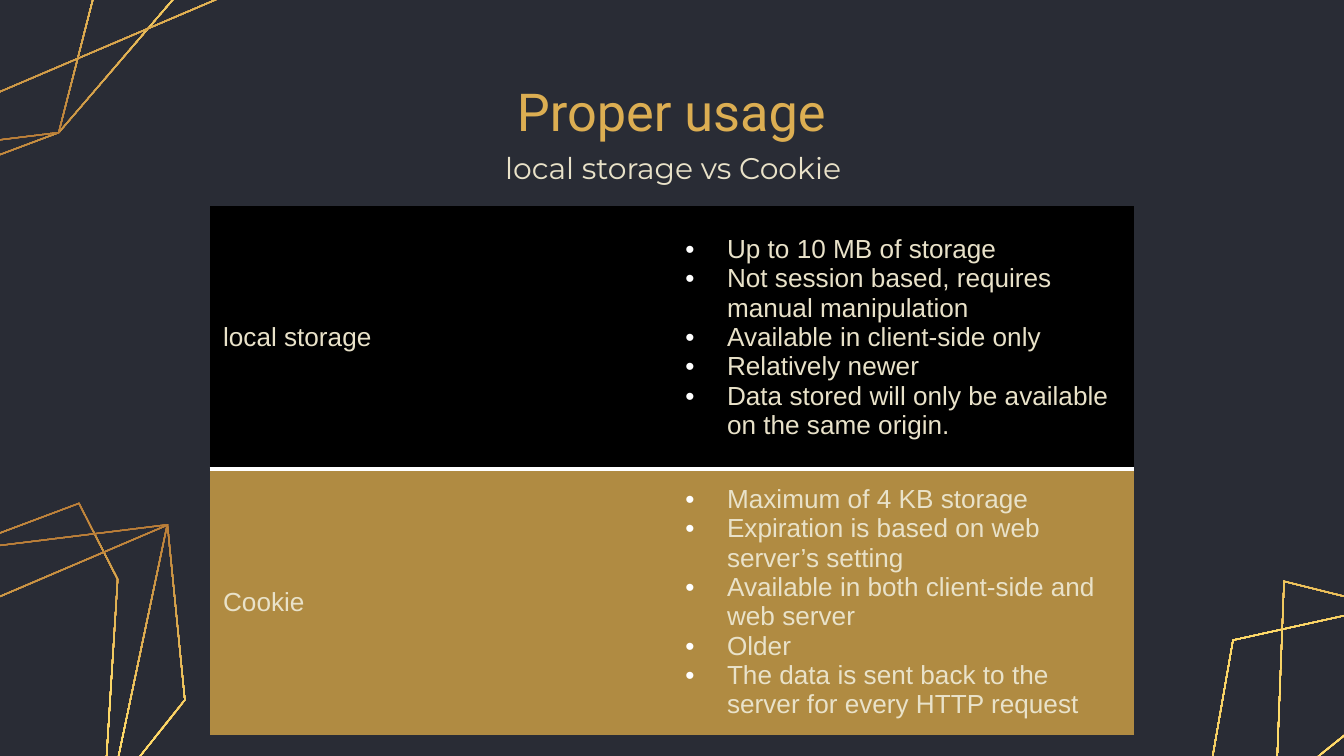
from copy import deepcopy
from dataclasses import dataclass
from math import cos, radians, sin

from lxml.etree import SubElement
from pptx import Presentation
from pptx.dml.color import RGBColor
from pptx.enum.text import MSO_ANCHOR, PP_ALIGN
from pptx.oxml import parse_xml
from pptx.oxml.ns import nsdecls, qn
from pptx.util import Emu, Inches, Pt

SLIDE_WIDTH = Inches(10)
SLIDE_HEIGHT = SLIDE_WIDTH * 9 // 16
UNIT = SLIDE_WIDTH / 100
RIBBON = 0.09
BACKGROUND, GOLD, CREAM, WHITE = "292C35", "DCAE52", "E9E2C9", "FFFFFF"
GRADIENT = ((0, "AF7132"), (0.5, "FFDD6B"), (1, GOLD))
PLAIN_TABLE_STYLE = "{2D5ABB26-0587-4C30-8999-92F81FD0307C}"


@dataclass
class Ornament:
    """Polygons with corners in grid units, turned clockwise by an angle."""
    rotation: float
    polygons: list[list[complex]]

    def half_turn(self, pivot: complex) -> "Ornament":
        """Return this ornament turned by 180 degrees about a pivot."""
        turned = [[2 * pivot - corner for corner in polygon] for polygon in self.polygons]
        return Ornament((self.rotation + 180) % 360, turned)


@dataclass
class Label:
    """One line of text in a box measured in grid units."""
    text: str
    box: tuple[float, float, float, float]
    font: str
    size: int
    color: str
    margin: float


@dataclass
class StorageRow:
    """One kind of storage with its traits."""
    name: str
    traits: list[str]
    fill: str
    height: float


LOWER_LEFT = Ornament(354.4, [
    [-10.5 + 67.5j, -16.4 + 55.8j, -3.7 + 41j, 5.9 + 37.4j, 8.8 + 43.1j, 7.6 + 62.3j],
    [-1.8 + 71.7j, -10.5 + 67.5j, -3.7 + 41j, 12.5 + 39j, 7.6 + 62.3j],
    [-1.8 + 71.7j, -16.1 + 51.2j, 12.5 + 39j, 13.8 + 52.1j],
])
LOWER_RIGHT = Ornament(31.4, [
    [88.9 + 63.6j, 91.7 + 47.6j, 115.3 + 42.4j, 127.5 + 46j, 126 + 53.8j, 110.6 + 71.8j],
    [94.3 + 74.2j, 88.9 + 63.6j, 115.3 + 42.4j, 132.8 + 52.5j, 110.6 + 71.8j],
    [94.3 + 74.2j, 95.5 + 43.2j, 132.8 + 52.5j, 124.4 + 66.4j],
])
ORNAMENTS = [LOWER_LEFT, LOWER_LEFT.half_turn(0.35 + 25.45j), LOWER_RIGHT]
LABELS = [
    Label("Proper usage", (21.8, 5.9, 56.3, 4.7), "Roboto", 28, GOLD, 0.1),
    Label("local storage vs Cookie", (36.3, 10.6, 27.6, 3.7), "Montserrat", 16, CREAM, 0.05),
]
ROWS = [
    StorageRow("local storage", [
        "Up to 10 MB of storage",
        "Not session based, requires manual manipulation",
        "Available in client-side only",
        "Relatively newer",
        "Data stored will only be available on the same origin.",
    ], "000000", 19.6),
    StorageRow("Cookie", [
        "Maximum of 4 KB storage",
        "Expiration is based on web server’s setting",
        "Available in both client-side and web server",
        "Older",
        "The data is sent back to the server for every HTTP request",
    ], "B08B42", 19.8),
]


def rgb(value: str) -> RGBColor:
    """Turn a hex string into a colour."""
    return RGBColor.from_string(value)


def length(units: float) -> Emu:
    """Turn grid units into a length."""
    return Emu(round(units * UNIT))


def inset(corners: list[complex]) -> list[complex]:
    """Return the mitred inner edge of a clockwise polygon."""
    inner = []
    for index, corner in enumerate(corners):
        before = corner - corners[index - 1]
        after = corners[(index + 1) % len(corners)] - corner
        first, second = 1j * before / abs(before), 1j * after / abs(after)
        cosine = (first * second.conjugate()).real
        inner.append(corner + RIBBON * (first + second) / (1 + cosine))
    return inner


def draw_polygon(slide, corners: list[complex], rotation: float) -> None:
    """Draw a polygon as a thin ribbon with a gradient that turns along."""
    turn = complex(cos(radians(rotation)), sin(radians(rotation)))
    upright = [corner / turn for corner in corners]
    outer, inner = (
        [(length(corner.real), length(corner.imag)) for corner in edge]
        for edge in (upright, inset(upright))
    )
    builder = slide.shapes.build_freeform(*outer[0])
    builder.add_line_segments(outer[1:], close=True)
    builder.move_to(*inner[0])
    builder.add_line_segments(inner[:0:-1], close=True)
    shape = builder.convert_to_shape()
    center = complex(shape.left + shape.width / 2, shape.top + shape.height / 2) * turn
    shape.left = round(center.real - shape.width / 2)
    shape.top = round(center.imag - shape.height / 2)
    shape.rotation = rotation
    shape.shadow.inherit = False
    shape.line.fill.background()
    shape.fill.gradient()
    shape.fill.gradient_angle = 270
    stop_list = next(shape._element.iter(qn("a:gsLst")))
    stop_list.append(deepcopy(stop_list[-1]))
    for stop, (position, color) in zip(shape.fill.gradient_stops, GRADIENT):
        stop.position = position
        stop.color.rgb = rgb(color)


def style_paragraph(paragraph, font: str, size: int, color: str) -> None:
    """Set the font of a whole paragraph."""
    paragraph.font.name = font
    paragraph.font.size = Pt(size)
    paragraph.font.color.rgb = rgb(color)


def draw_label(slide, label: Label) -> None:
    """Draw a centred line of text."""
    frame = slide.shapes.add_textbox(*map(length, label.box)).text_frame
    frame.word_wrap = True
    frame.vertical_anchor = MSO_ANCHOR.MIDDLE
    frame.margin_top = frame.margin_bottom = Inches(label.margin)
    paragraph = frame.paragraphs[0]
    paragraph.text = label.text
    paragraph.alignment = PP_ALIGN.CENTER
    style_paragraph(paragraph, label.font, label.size, label.color)


def add_bullet(paragraph) -> None:
    """Give a paragraph a white bullet and a hanging indent."""
    properties = paragraph._p.get_or_add_pPr()
    indent = Inches(0.31)
    properties.set("marL", str(indent))
    properties.set("indent", str(-indent))
    for index, markup in enumerate((
        f'<a:buClr {nsdecls("a")}><a:srgbClr val="{WHITE}"/></a:buClr>',
        f'<a:buFont {nsdecls("a")} typeface="Arial"/>',
        f'<a:buChar {nsdecls("a")} char="•"/>',
    )):
        properties.insert(index, parse_xml(markup))


def fill_cell(cell, lines: list[str], fill: str, bulleted: bool, ruled: bool) -> None:
    """Write lines into a cell, with an optional white rule below."""
    cell.vertical_anchor = MSO_ANCHOR.MIDDLE
    cell.text = "\n".join(lines)
    for paragraph in cell.text_frame.paragraphs:
        style_paragraph(paragraph, "Arial", 14, CREAM)
        if bulleted:
            add_bullet(paragraph)
    if ruled:
        border = SubElement(cell._tc.get_or_add_tcPr(), qn("a:lnB"), w=str(Pt(2)))
        solid = SubElement(border, qn("a:solidFill"))
        SubElement(solid, qn("a:srgbClr"), val=WHITE)
    cell.fill.solid()
    cell.fill.fore_color.rgb = rgb(fill)


def draw_table(slide, rows: list[StorageRow]) -> None:
    """Draw the comparison table with two equal columns."""
    box = (15.6, 15.3, 68.8, sum(row.height for row in rows))
    table = slide.shapes.add_table(len(rows), 2, *map(length, box)).table
    table.first_row = table.horz_banding = False
    next(table._tbl.iter(qn("a:tableStyleId"))).text = PLAIN_TABLE_STYLE
    for index, row in enumerate(rows):
        table.rows[index].height = length(row.height)
        ruled = index < len(rows) - 1
        fill_cell(table.cell(index, 0), [row.name], row.fill, False, ruled)
        fill_cell(table.cell(index, 1), row.traits, row.fill, True, ruled)


def main() -> None:
    """Build and save the slide."""
    presentation = Presentation()
    presentation.slide_width, presentation.slide_height = SLIDE_WIDTH, SLIDE_HEIGHT
    slide = presentation.slides.add_slide(presentation.slide_layouts[6])
    slide.background.fill.solid()
    slide.background.fill.fore_color.rgb = rgb(BACKGROUND)
    for ornament in ORNAMENTS:
        for polygon in ornament.polygons:
            draw_polygon(slide, polygon, ornament.rotation)
    for label in LABELS:
        draw_label(slide, label)
    draw_table(slide, ROWS)
    presentation.save("out.pptx")


if __name__ == "__main__":
    main()
